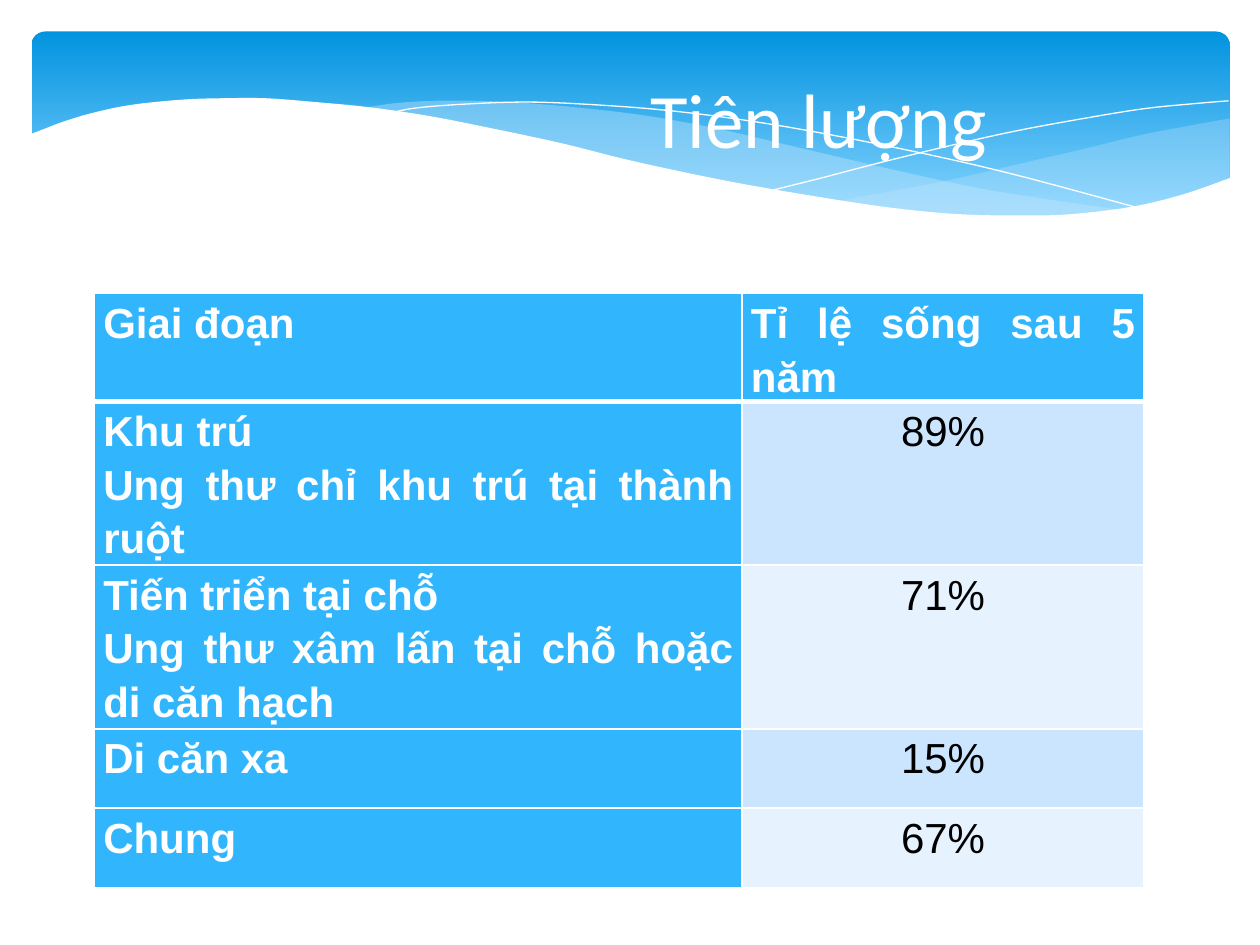
from dataclasses import dataclass
from typing import Optional

from lxml.etree import SubElement
from pptx import Presentation
from pptx.dml.color import RGBColor
from pptx.enum.shapes import MSO_SHAPE
from pptx.enum.text import MSO_ANCHOR, PP_ALIGN
from pptx.oxml import parse_xml
from pptx.oxml.ns import nsdecls, qn
from pptx.util import Emu, Inches, Pt

SLIDE_WIDTH, SLIDE_HEIGHT = Inches(10), Inches(7.5)
GRID_COLUMNS = 10
WHITE, BLACK, SKY, MIST = "FFFFFF", "000000", "31B6FD", "C6E7FC"
BANDS = ("CCE5FE", "E7F2FF")
Point = tuple[float, float]


@dataclass(frozen=True)
class Wave:
    """A band or line made of smooth curves, each given by its grid points."""

    curves: tuple[tuple[Point, ...], ...]
    fill: Optional[str] = None
    opacity: int = 100


@dataclass(frozen=True)
class Stage:
    """One table row: the stage's lines, its survival rate and its height."""

    lines: tuple[str, ...]
    survival: str
    height: float


WAVES = (
    Wave((
        ((9.76, 0.94), (9.48, 0.99), (9.06, 1.07), (8.61, 1.18), (8.05, 1.31),
         (7.53, 1.43), (7.06, 1.52), (6.61, 1.6)),
        ((6.61, 1.6), (7.05, 1.65), (7.45, 1.69), (7.81, 1.72), (8.24, 1.72),
         (8.63, 1.7), (8.97, 1.65), (9.35, 1.56), (9.63, 1.47), (9.76, 1.41)),
    ), MIST, 29),
    Wave((
        ((8.93, 1.67), (8.37, 1.59), (7.75, 1.49), (7.06, 1.34), (6.29, 1.16),
         (5.69, 1.02), (5.14, 0.92), (4.65, 0.86), (4.2, 0.82), (3.8, 0.8),
         (3.44, 0.8), (3.13, 0.82), (2.86, 0.86)),
        ((2.86, 0.86), (3.23, 0.9), (3.62, 0.97), (4.04, 1.06), (4.49, 1.16),
         (5.3, 1.35), (6.01, 1.5), (6.65, 1.61), (7.22, 1.68), (7.73, 1.72),
         (8.18, 1.73), (8.57, 1.71), (8.93, 1.67)),
    ), MIST, 40),
    Wave((
        ((3.09, 0.9), (3.28, 0.86), (3.63, 0.83), (4.16, 0.81), (4.69, 0.83),
         (5.33, 0.88), (6.08, 0.98), (6.95, 1.14), (7.95, 1.36), (9.07, 1.66)),
    )),
    Wave((
        ((6.13, 1.51), (6.53, 1.41), (6.95, 1.3), (7.48, 1.17), (8.06, 1.04),
         (8.66, 0.93), (9.1, 0.86), (9.51, 0.82), (9.75, 0.8)),
    )),
    Wave((
        ((9.77, 1.41), (9.4, 1.54), (8.99, 1.64), (8.5, 1.7), (8.09, 1.71),
         (7.61, 1.7), (7.08, 1.65), (6.48, 1.56), (5.79, 1.44), (5.03, 1.28),
         (4.47, 1.14), (3.91, 1.02), (3.4, 0.92), (2.92, 0.85), (2.5, 0.81),
         (2.11, 0.78), (1.77, 0.78), (1.46, 0.79), (1.06, 0.83), (0.76, 0.89),
         (0.52, 0.96), (0.36, 1.02), (0.23, 1.07)),
        ((0.23, 2.24), (9.77, 2.24)),
    ), WHITE),
)

STAGES = (
    Stage(("Giai đoạn",), "Tỉ lệ sống sau 5 năm", 0.63),
    Stage(("Khu trú", "Ung thư chỉ khu trú tại thành ruột"), "89%", 1.3),
    Stage(("Tiến triển tại chỗ", "Ung thư xâm lấn tại chỗ hoặc di căn hạch"), "71%", 1.3),
    Stage(("Di căn xa",), "15%", 0.63),
    Stage(("Chung",), "67%", 0.63),
)
COLUMN_WIDTHS = (5.14, 3.19)


def grid(cells: float) -> Emu:
    """Turn a count of square grid cells into a length."""
    return Emu(round(SLIDE_WIDTH * cells / GRID_COLUMNS))


def color(hex_code: str) -> RGBColor:
    """Turn a hex string into a colour."""
    return RGBColor.from_string(hex_code)


def smooth(knots: tuple[Point, ...], steps: int = 5) -> list[Point]:
    """Sample a Catmull-Rom curve through the knots."""
    padded = (knots[0], *knots, knots[-1])
    samples = [knots[0]]
    for a, b, c, d in zip(padded, padded[1:], padded[2:], padded[3:]):
        for t in (step / steps for step in range(1, steps + 1)):
            samples.append(tuple(
                0.5 * (2 * q + (r - p) * t + (2 * p - 5 * q + 4 * r - s) * t**2
                       + (3 * q - p - 3 * r + s) * t**3)
                for p, q, r, s in zip(a, b, c, d)))
    return samples


def draw_wave(shapes, wave: Wave) -> None:
    """Draw a filled band, or a thin white line when there is no fill."""
    start, *rest = [(grid(x), grid(y)) for curve in wave.curves for x, y in smooth(curve)]
    builder = shapes.build_freeform(*start)
    builder.add_line_segments(rest, close=wave.fill is not None)
    outline = builder.convert_to_shape()
    outline.shadow.inherit = False
    if wave.fill is None:
        outline.fill.background()
        outline.line.color.rgb = color(WHITE)
        outline.line.width = Pt(0.75)
        return
    outline.line.fill.background()
    outline.fill.solid()
    outline.fill.fore_color.rgb = color(wave.fill)
    if wave.opacity < 100:
        tint = outline.fill._xPr.find(".//" + qn("a:srgbClr"))
        SubElement(tint, qn("a:alpha"), val=str(wave.opacity * 1000))


def draw_banner(shapes) -> None:
    """Draw the rounded gradient panel behind the waves."""
    banner = shapes.add_shape(
        MSO_SHAPE.ROUNDED_RECTANGLE, grid(0.25), grid(0.25), grid(9.51), grid(1.56))
    banner.adjustments[0] = 0.07
    banner.shadow.inherit = False
    banner.line.fill.background()
    banner.fill.gradient()
    banner.fill.gradient_angle = 270
    for stop, hex_code, position in zip(
            banner.fill.gradient_stops, ("0293E0", "81D2FE"), (0, 0.9)):
        stop.color.rgb = color(hex_code)
        stop.position = position


def write(frame, *lines: str, size: float, font: str, ink: str = WHITE,
          bold: bool = False, align=PP_ALIGN.CENTER, spacing: float = 1.0) -> None:
    """Write one formatted paragraph for each line."""
    frame.text = "\n".join(lines)
    for paragraph in frame.paragraphs:
        paragraph.alignment = align
        paragraph.line_spacing = spacing
        for run in paragraph.runs:
            run.font.size, run.font.name, run.font.bold = Pt(size), font, bold
            run.font.color.rgb = color(ink)


def set_borders(cell, **widths: float) -> None:
    """Give the cell white borders: 1 pt, or the width named for a side."""
    properties = cell._tc.get_or_add_tcPr()
    for index, side in enumerate("LRTB"):
        properties.insert(index, parse_xml(
            f'<a:ln{side} {nsdecls("a")} w="{Pt(widths.get(side, 1))}"><a:solidFill>'
            f'<a:srgbClr val="{WHITE}"/></a:solidFill></a:ln{side}>'))


def draw_table(shapes) -> None:
    """Draw the survival table."""
    table = shapes.add_table(
        len(STAGES), len(COLUMN_WIDTHS), grid(0.75), grid(2.33),
        grid(sum(COLUMN_WIDTHS)), grid(sum(stage.height for stage in STAGES))).table
    for column, width in zip(table.columns, COLUMN_WIDTHS):
        column.width = grid(width)
    for row, stage in enumerate(STAGES):
        table.rows[row].height = grid(stage.height)
        for column, lines in enumerate((stage.lines, (stage.survival,))):
            cell = table.cell(row, column)
            heading = row == 0 or column == 0
            cell.margin_left = cell.margin_right = grid(0.07)
            cell.margin_top = cell.margin_bottom = 0
            set_borders(cell, **({0: {"B": 3}, 1: {"T": 3}}.get(row, {})))
            cell.fill.solid()
            cell.fill.fore_color.rgb = color(SKY if heading else BANDS[(row - 1) % 2])
            write(cell.text_frame, *lines, size=24, font="Arial", spacing=1.15,
                  ink=WHITE if heading else BLACK, bold=heading,
                  align=PP_ALIGN.JUSTIFY if heading else PP_ALIGN.CENTER)


def main() -> None:
    """Build and save the slide."""
    deck = Presentation()
    deck.slide_width, deck.slide_height = SLIDE_WIDTH, SLIDE_HEIGHT
    slide = deck.slides.add_slide(deck.slide_layouts[5])
    draw_banner(slide.shapes)
    for wave in WAVES:
        draw_wave(slide.shapes, wave)
    title = slide.shapes.title
    title._element.getparent().append(title._element)
    title.left, title.top, title.width, title.height = map(grid, (2, 0.25, 9, 1.37))
    title.text_frame.vertical_anchor = MSO_ANCHOR.MIDDLE
    write(title.text_frame, "Tiên lượng", size=44, font="Calibri")
    draw_table(slide.shapes)
    deck.save("out.pptx")


if __name__ == "__main__":
    main()
